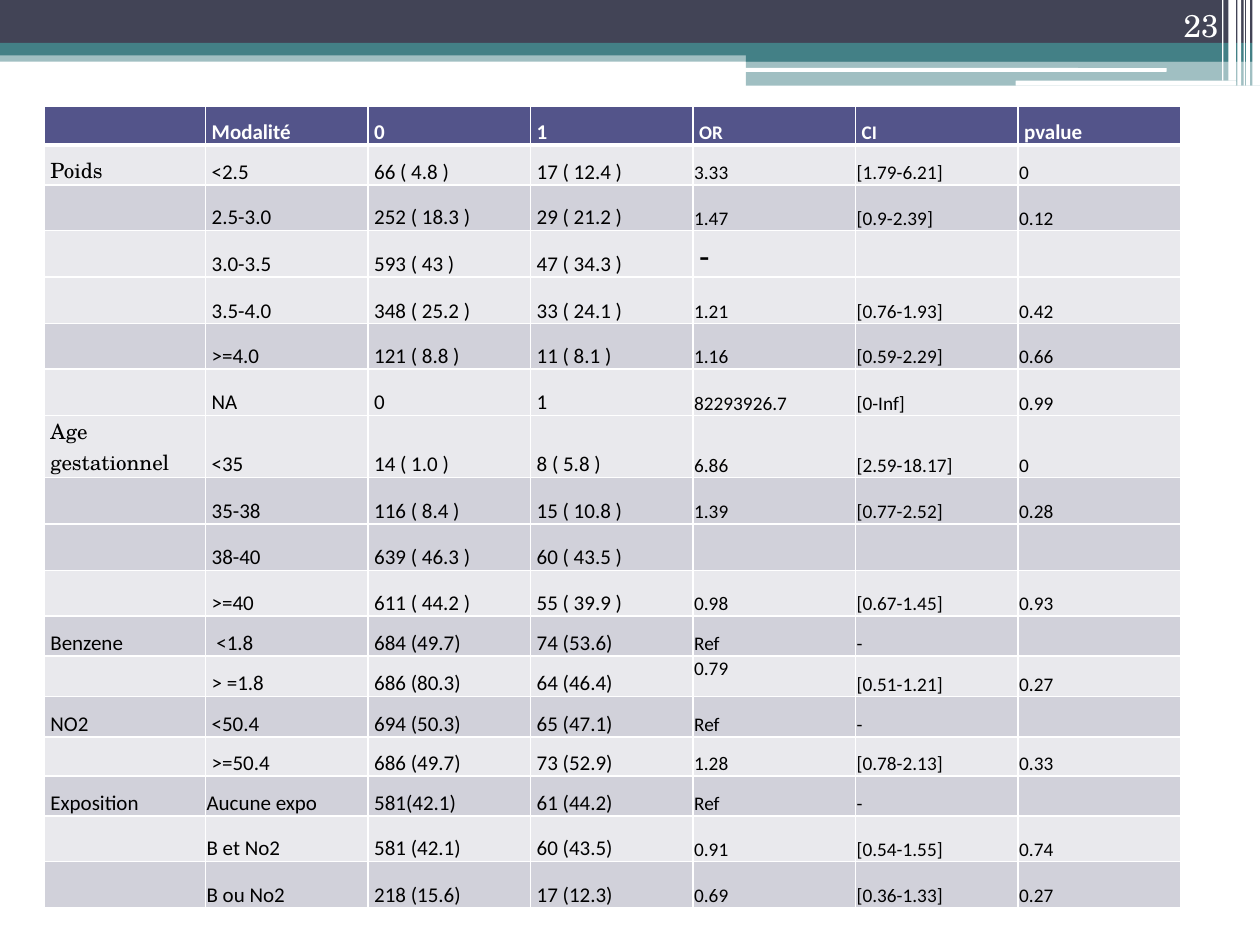
from itertools import pairwise
from lxml.etree import SubElement
from pptx import Presentation
from pptx.dml.color import RGBColor as RGB
from pptx.enum.shapes import MSO_SHAPE as Shape
from pptx.enum.text import MSO_ANCHOR as Anchor, PP_ALIGN as Align
from pptx.oxml.ns import qn
from pptx.util import Inches, Pt


class Theme:
    """Colours, fonts and type sizes."""
    dark, teal, head = "424456", "438086", "53548A"
    light, band, white, black = "E9E9ED", "D1D1DA", "FFFFFF", "000000"
    sans, serif = "Calibri", "TeX Gyre Schola"
    big, body, small = 18, 12, 11


def style(para, size, name, color, bold=False):
    """Set the font of one paragraph."""
    font = para.font
    font.size, font.name, font.bold = Pt(size), name, bold
    font.color.rgb = RGB.from_string(color)


def edge(cell, side, width):
    """Draw one white border of a cell."""
    line = SubElement(cell._tc.get_or_add_tcPr(), qn(f"a:ln{side}"), w=str(Pt(width)))
    fill = SubElement(line, qn("a:solidFill"))
    SubElement(fill, qn("a:srgbClr"), val=Theme.white)


prs = Presentation()
prs.slide_width, prs.slide_height = Inches(10), Inches(7.5)
slide = prs.slides.add_slide(prs.slide_layouts[6])

# Banner: left, top, width, height, colour, opacity in percent
bars = [
    (0, 0.4, 10, 0.09, Theme.teal, 50),
    (0, 0, 10, 0.34, Theme.dark, 100),
    (0, 0.34, 10, 0.1, Theme.teal, 100),
    (5.92, 0.39, 4.08, 0.1, Theme.teal, 100),
    (5.92, 0.48, 4.08, 0.2, Theme.teal, 50),
    (5.91, 0.54, 3.35, 0.03, Theme.white, 100),
    (8.06, 0.64, 1.75, 0.04, Theme.white, 100),
]
stripes = [(9.94, 0.06, 0.68), (9.89, 0.03, 0.68), (9.87, 0.01, 0.68),
           (9.82, 0.03, 0.68), (9.75, 0.06, 0.64), (9.7, 0.01, 0.64)]
bars += [(x, 0, w, h, Theme.white, 100) for x, w, h in stripes]

for x, y, w, h, color, alpha in bars:
    kind = Shape.ROUNDED_RECTANGLE if color == Theme.white and y else Shape.RECTANGLE
    bar = slide.shapes.add_shape(kind, Inches(x), Inches(y), Inches(w), Inches(h))
    bar.shadow.inherit = False
    bar.line.fill.background()
    bar.fill.solid()
    bar.fill.fore_color.rgb = RGB.from_string(color)
    if alpha < 100:
        tint = bar.fill._xPr.find(".//" + qn("a:srgbClr"))
        SubElement(tint, qn("a:alpha"), val=str(alpha * 1000))

# Table
rows = [
    ("", "Modalité", "0", "1", "OR", "CI", "pvalue"),
    ("Poids", "<2.5", "66 ( 4.8 )", "17 ( 12.4 )", "3.33", "[1.79-6.21]", "0"),
    ("", "2.5-3.0", "252 ( 18.3 )", "29 ( 21.2 )", "1.47", "[0.9-2.39]", "0.12"),
    ("", "3.0-3.5", "593 ( 43 )", "47 ( 34.3 )", "-", "", ""),
    ("", "3.5-4.0", "348 ( 25.2 )", "33 ( 24.1 )", "1.21", "[0.76-1.93]", "0.42"),
    ("", ">=4.0", "121 ( 8.8 )", "11 ( 8.1 )", "1.16", "[0.59-2.29]", "0.66"),
    ("", "NA", "0", "1", "82293926.7", "[0-Inf]", "0.99"),
    ("Age gestationnel", "<35", "14 ( 1.0 )", "8 ( 5.8 )", "6.86", "[2.59-18.17]", "0"),
    ("", "35-38", "116 ( 8.4 )", "15 ( 10.8 )", "1.39", "[0.77-2.52]", "0.28"),
    ("", "38-40", "639 ( 46.3 )", "60 ( 43.5 )", "", "", ""),
    ("", ">=40", "611 ( 44.2 )", "55 ( 39.9 )", "0.98", "[0.67-1.45]", "0.93"),
    ("Benzene", " <1.8", "684 (49.7)", "74 (53.6)", "Ref", "-", ""),
    ("", "> =1.8", "686 (80.3)", "64 (46.4)", "0.79", "[0.51-1.21]", "0.27"),
    ("NO2", "<50.4", "694 (50.3)", "65 (47.1)", "Ref", "-", ""),
    ("", ">=50.4", "686 (49.7)", "73 (52.9)", "1.28", "[0.78-2.13]", "0.33"),
    ("Exposition", "Aucune expo", "581(42.1)", "61 (44.2)", "Ref", "-", ""),
    ("", "B et No2", "581 (42.1)", "60 (43.5)", "0.91", "[0.54-1.55]", "0.74"),
    ("", "B ou No2", "218 (15.6)", "17 (12.3)", "0.69", "[0.36-1.33]", "0.27"),
]
banded = {2, 5, 8, 9, 11, 13, 15, 17}
expo = 15  # first row of the last group
tops = [0.84, 1.15, 1.47, 1.83, 2.2, 2.57, 2.93, 3.3, 3.79, 4.16,
        4.53, 4.89, 5.21, 5.53, 5.85, 6.16, 6.48, 6.84, 7.21]

frame = slide.shapes.add_table(len(rows), 7, Inches(0.35), Inches(tops[0]),
                               Inches(9.01), Inches(tops[-1] - tops[0]))
table = frame.table
table.horz_banding = False
for c, col in enumerate(table.columns):
    col.width = Inches(1.29 if c else 1.28)
for row, (top, end) in zip(table.rows, pairwise(tops)):
    row.height = Inches(end - top)

for r, row in enumerate(rows):
    for c, text in enumerate(row):
        cell = table.cell(r, c)
        dash = c == 4 and text == "-"
        tight = r > 0 and not dash and (c > 3 or (c == 1 and r >= expo))
        cell.margin_left = cell.margin_right = Inches(0.01 if tight else 0.05)
        cell.margin_top = Inches(0.01 if tight else 0)
        cell.margin_bottom = 0
        cell.vertical_anchor = Anchor.TOP if text == "0.79" else Anchor.BOTTOM

        para = cell.text_frame.paragraphs[0]
        para.text = text
        if not tight and c and not dash:
            para.line_spacing = 1.15
        size = Theme.small if c in (4, 5) or (c == 6 and r) else Theme.body
        serif = dash or text in ("Poids", "Age gestationnel")
        style(para, Theme.big if dash else size,
              Theme.serif if serif else Theme.sans,
              Theme.black if r else Theme.white, bold=r == 0)

        for side in "LRTB":
            thick = (r, side) in ((0, "B"), (1, "T"))
            edge(cell, side, 3 if thick else 1)
        shade = Theme.band if r in banded else Theme.light
        cell.fill.solid()
        cell.fill.fore_color.rgb = RGB.from_string(shade if r else Theme.head)

# Page number
page = slide.shapes.add_textbox(Inches(8.94), 0, Inches(0.83), Inches(0.4))
page.text_frame.word_wrap = True
page.text_frame.vertical_anchor = Anchor.BOTTOM
para = page.text_frame.paragraphs[0]
para.text = "23"
para.alignment = Align.RIGHT
style(para, Theme.big, Theme.serif, Theme.white)

prs.save("out.pptx")
